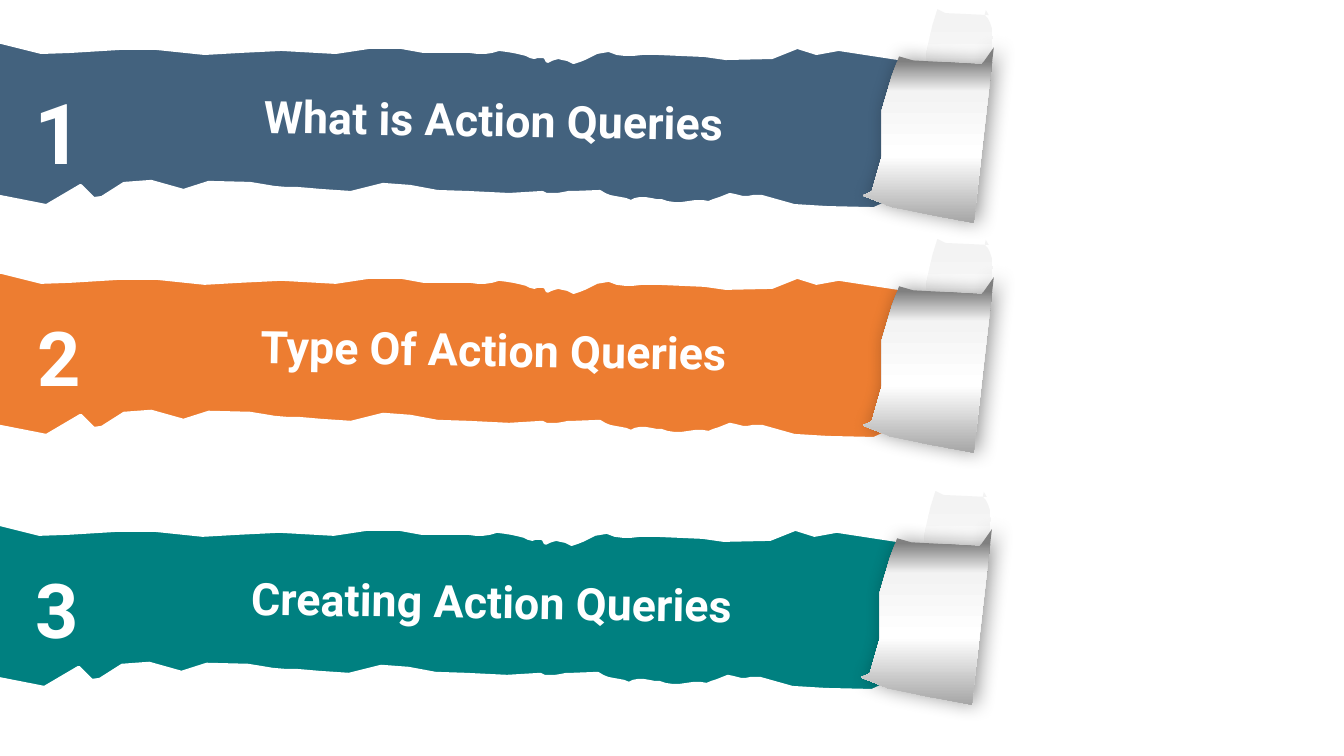
from dataclasses import dataclass

from pptx import Presentation
from pptx.dml.color import RGBColor
from pptx.enum.text import MSO_AUTO_SIZE, PP_ALIGN
from pptx.oxml import parse_xml
from pptx.oxml.ns import nsdecls, qn
from pptx.shapes.autoshape import Shape
from pptx.slide import Slide
from pptx.util import Pt

COLORS = {
    "blue": "43627E", "orange": "ED7D31", "teal": "008080", "white": "FFFFFF",
    "black": "000000", "pale": "F3F3F3", "silver": "A6A6A6", "gray": "808080",
}
GRID = Pt(0.72)  # outlines are plotted on this grid
CURVE_STEPS = 6

# Outlines: (x, y) is a corner, six numbers are a Bezier curve
TORN_STRIP = [
    (-5, 194), (46, 204), (80, 184), (93, 197), (101, 196), (123, 182), (150, 180),
    (182, 189), (207, 181), (248, 182), (273, 187, 295, 187, 318, 189), (348, 191),
    (380, 183), (407, 185), (434, 190), (464, 191), (505, 193), (538, 191),
    (546, 196, 559, 191, 570, 191), (595, 190), (604, 197, 616, 196, 626, 200),
    (634, 194, 646, 199, 656, 199), (668, 205, 683, 200, 697, 200),
    (708, 204, 720, 190, 729, 194), (736, 197, 747, 195, 756, 195), (788, 204),
    (821, 206), (867, 207), (878, 202), (884, 189), (895, 133), (894, 98), (901, 66),
    (904, 60), (832, 49), (810, 53), (791, 47), (766, 57), (720, 58), (699, 55),
    (653, 53), (637, 52, 619, 57, 604, 50), (591, 50, 580, 59, 569, 62),
    (557, 54, 550, 58, 543, 61), (540, 51, 534, 59, 526, 56),
    (517, 52, 513, 51, 495, 49), (480, 55, 467, 50, 452, 51), (420, 51), (398, 47),
    (366, 47), (333, 52), (279, 49), (238, 51), (203, 53), (155, 48), (119, 48),
    (70, 51), (41, 52), (1, 42), (-18, 43), (-10, 84), (-17, 162),
]
BACK_CURL = [
    (906, 122), (923, 131), (948, 137), (974, 144), (978, 108, 984, 59, 985, 37),
    (985, 14, 974, 19, 978, 10), (981, 15), (961, 14), (938, 13), (930, 9),
    (925, 25), (919, 53), (918, 90), (912, 119),
]
FRONT_CURL = [
    (856, 194), (884, 205), (923, 213), (966, 221), (981, 90), (986, 47), (974, 64),
    (943, 62), (906, 60), (892, 56), (885, 75), (875, 109), (875, 155), (865, 190),
]
BACK_STOPS = [(8, "pale"), (62, "white"), (100, "silver")]
FRONT_STOPS = [(8, "gray"), (25, "pale"), (62, "white"), (100, "silver")]


@dataclass
class Topic:
    number: str
    title: str
    color: str
    dx: float
    dy: float
    number_size: float
    number_height: float


TOPICS = [
    Topic("1", "What is Action Queries", "blue", 0, 0, 60, 79.9),
    Topic("2", "Type Of Action Queries", "orange", 0, 164.2, 54, 51.1),
    Topic("3", "Creating Action Queries", "teal", -1.4, 344.2, 54, 72.7),
]


def flatten(outline: list[tuple]) -> list[tuple[float, float]]:
    """Turn corners and curves into a run of points."""
    points = []
    for step in outline:
        if len(step) == 2:
            points.append(step)
            continue
        start, controls = points[-1], (step[:2], step[2:4], step[4:])
        for i in range(1, CURVE_STEPS + 1):
            t = i / CURVE_STEPS
            weights = ((1 - t) ** 3, 3 * t * (1 - t) ** 2, 3 * t * t * (1 - t), t ** 3)
            points.append(tuple(
                sum(w * p[axis] for w, p in zip(weights, (start, *controls)))
                for axis in (0, 1)))
    return points


def draw_outline(slide: Slide, topic: Topic, outline: list[tuple]) -> Shape:
    first, *rest = flatten(outline)
    builder = slide.shapes.build_freeform(*first, scale=GRID)
    builder.add_line_segments(rest, close=True)
    paper = builder.convert_to_shape(Pt(topic.dx), Pt(topic.dy))
    paper.shadow.inherit = False
    return paper


def draw_strip(slide: Slide, topic: Topic) -> None:
    strip = draw_outline(slide, topic, TORN_STRIP)
    strip.fill.solid()
    strip.fill.fore_color.rgb = RGBColor.from_string(COLORS[topic.color])
    strip.line.color.rgb = RGBColor.from_string(COLORS["white"])
    strip.line.width = Pt(2.25)


def draw_curl(slide: Slide, topic: Topic, outline: list[tuple],
              stops: list[tuple[int, str]]) -> Shape:
    curl = draw_outline(slide, topic, outline)
    curl.line.fill.background()
    curl.fill.background()
    stop_xml = "".join(
        f'<a:gs pos="{pos * 1000}"><a:srgbClr val="{COLORS[name]}"/></a:gs>'
        for pos, name in stops)
    gradient = parse_xml(
        f'<a:gradFill {nsdecls("a")} rotWithShape="1"><a:gsLst>{stop_xml}</a:gsLst>'
        '<a:lin ang="5400000" scaled="0"/></a:gradFill>')
    properties = curl._element.spPr
    properties.replace(properties.find(qn("a:noFill")), gradient)
    return curl


def cast_shadow(curl: Shape) -> None:
    curl._element.spPr.find(qn("a:effectLst")).append(parse_xml(
        f'<a:outerShdw {nsdecls("a")} blurRad="{Pt(14)}" dist="{Pt(3)}" dir="0" '
        f'algn="l" rotWithShape="0"><a:srgbClr val="{COLORS["black"]}">'
        '<a:alpha val="40000"/></a:srgbClr></a:outerShdw>'))


def write(slide: Slide, text: str, size: float, left: float, top: float,
          width: float, height: float, rotation: float = 0) -> None:
    label = slide.shapes.add_textbox(Pt(left), Pt(top), Pt(width), Pt(height))
    label.rotation = rotation
    label.text_frame.word_wrap = True
    label.text_frame.auto_size = MSO_AUTO_SIZE.SHAPE_TO_FIT_TEXT
    line = label.text_frame.paragraphs[0]
    line.alignment = PP_ALIGN.CENTER
    run = line.add_run()
    run.text = text
    for key, value in {"name": "Roboto", "size": Pt(size), "bold": True}.items():
        setattr(run.font, key, value)
    run.font.color.rgb = RGBColor.from_string(COLORS["white"])


def draw_topic(slide: Slide, topic: Topic) -> None:
    # Torn strip and the paper curled back at its end
    draw_strip(slide, topic)
    back = draw_curl(slide, topic, BACK_CURL, BACK_STOPS)
    front = draw_curl(slide, topic, FRONT_CURL, FRONT_STOPS)
    cast_shadow(front)
    slide.shapes.add_group_shape([back, front])
    # Number and title
    write(slide, topic.number, topic.number_size,
          16.6 + topic.dx, 54 + topic.dy, 51.1, topic.number_height)
    write(slide, topic.title, 32,
          89.3 + topic.dx, 62.6 + topic.dy, 526.3, 46.1, rotation=1)


def main() -> None:
    deck = Presentation()
    deck.slide_width, deck.slide_height = Pt(960), Pt(540)
    slide = deck.slides.add_slide(deck.slide_layouts[6])
    for topic in TOPICS:
        draw_topic(slide, topic)
    deck.save("out.pptx")


if __name__ == "__main__":
    main()
